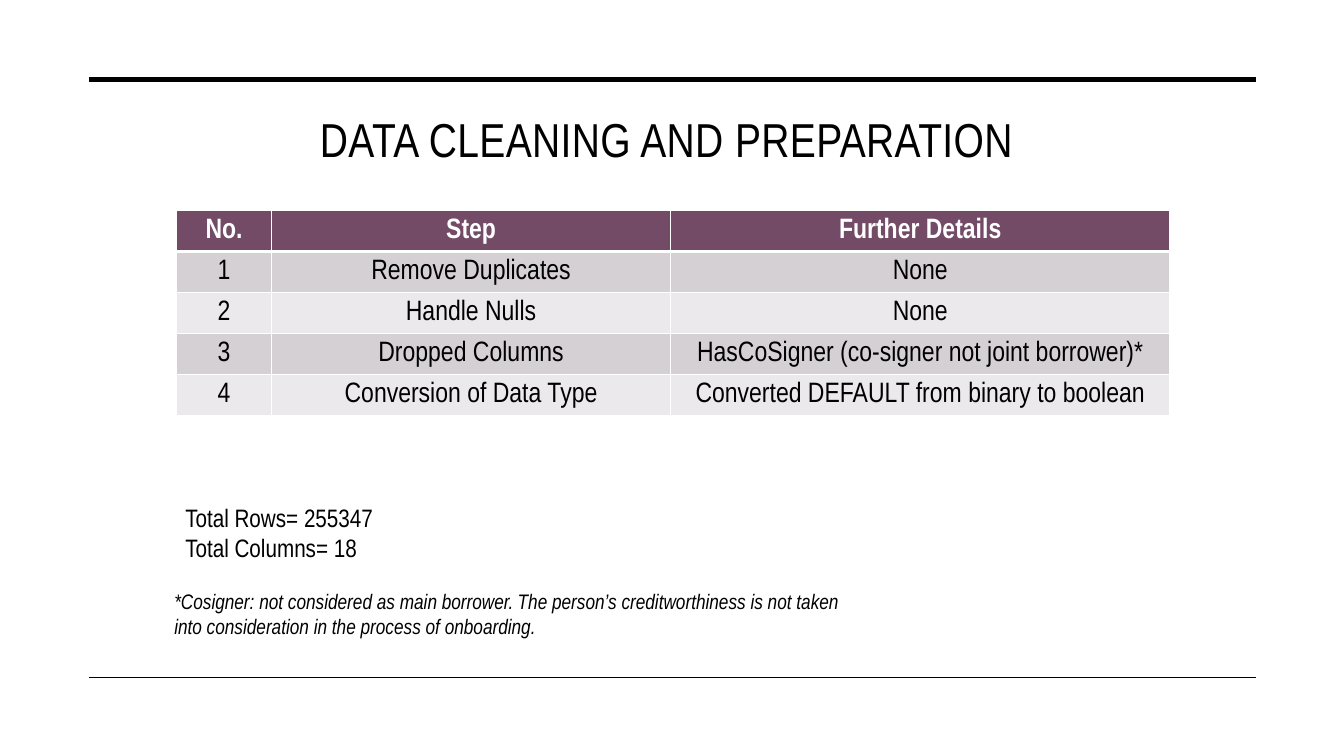
from lxml.etree import SubElement as Sub
from pptx import Presentation as Deck
from pptx.dml.color import RGBColor as Rgb
from pptx.enum.shapes import MSO_CONNECTOR as Link
from pptx.enum.text import MSO_ANCHOR as Anchor, PP_ALIGN as Align
from pptx.oxml.ns import qn
from pptx.util import Inches, Pt

WIDE, HIGH = Inches(13.33), Inches(7.5)
FONT = "Arial Narrow"
HUES = {"ink": "000000", "paper": "FFFFFF", "head": "734B67",
        "odd": "D5D0D3", "even": "EBE9EB"}
COLS = [7.05, 29.71, 37.13]
ROW = 5.42
STEPS = [
    ("No.", "Step", "Further Details"),
    ("1", "Remove Duplicates", "None"),
    ("2", "Handle Nulls", "None"),
    ("3", "Dropped Columns", "HasCoSigner (co-signer not joint borrower)*"),
    ("4", "Conversion of Data Type", "Converted DEFAULT from binary to boolean"),
]
NOTE = ("*Cosigner: not considered as main borrower. The person’s creditworthiness "
        "is not taken into consideration in the process of onboarding.")


def across(share):
    return round(WIDE * share / 100)


def down(share):
    return round(HIGH * share / 100)


def area(left, top, width, height):
    return across(left), down(top), across(width), down(height)


def hue(name):
    return Rgb.from_string(HUES[name])


def style(para, size, color="ink", bold=False, slant=False, align=Align.LEFT):
    para.alignment = align
    font = para.font
    font.name, font.size = FONT, Pt(size)
    font.bold, font.italic = bold, slant
    font.color.rgb = hue(color)


def rule(slide, top, weight):
    line = slide.shapes.add_connector(
        Link.STRAIGHT, across(6.6), down(top), across(93.47), down(top))
    line.line.color.rgb = hue("ink")
    line.line.width = Pt(weight)
    Sub(line._element.spPr, qn("a:effectLst"))


def label(slide, place, lines, size, anchor=Anchor.TOP, **look):
    frame = slide.shapes.add_textbox(*area(*place)).text_frame
    frame.word_wrap = True
    frame.vertical_anchor = anchor
    frame.text = "\n".join(lines)
    for para in frame.paragraphs:
        style(para, size, **look)
    return frame


def border(cell, side, weight):
    edge = Sub(cell._tc.get_or_add_tcPr(), qn("a:ln" + side), w=str(Pt(weight)))
    Sub(Sub(edge, qn("a:solidFill")), qn("a:srgbClr"), val=HUES["paper"])


def fill(cell, text, row):
    head = row == 0
    cell.text = text
    cell.vertical_anchor = Anchor.MIDDLE
    cell.margin_top = cell.margin_bottom = Inches(0.03)
    style(cell.text_frame.paragraphs[0], 20, "paper" if head else "ink",
          bold=head, align=Align.CENTER)
    for side in "LRTB":
        thick = (head and side == "B") or (row == 1 and side == "T")
        border(cell, side, 3 if thick else 1)
    cell.fill.solid()
    cell.fill.fore_color.rgb = hue("head" if head else "odd" if row % 2 else "even")


def grid(slide, left, top):
    place = area(left, top, sum(COLS), ROW * len(STEPS))
    table = slide.shapes.add_table(len(STEPS), len(COLS), *place).table
    for col, width in zip(table.columns, COLS):
        col.width = across(width)
    for row, texts in enumerate(STEPS):
        table.rows[row].height = down(ROW)
        for col, text in enumerate(texts):
            fill(table.cell(row, col), text, row)


def main():
    deck = Deck()
    deck.slide_width, deck.slide_height = WIDE, HIGH
    slide = deck.slides.add_slide(deck.slide_layouts[6])
    rule(slide, 10.53, 3.5)
    rule(slide, 89.6, 1)
    title = label(slide, (5.78, 13.33, 87.7, 9.87), ["DATA CLEANING AND PREPARATION"],
                  34, Anchor.MIDDLE, align=Align.CENTER)
    title.paragraphs[0].runs[0]._r.get_or_add_rPr().set("spc", "30")
    grid(slide, 13.15, 27.87)
    label(slide, (12.23, 77.2, 51.61, 8.13), [NOTE], 15, slant=True)
    label(slide, (13.05, 65.73, 16.35, 9.47),
          ["Total Rows= 255347", "Total Columns= 18"], 18)
    deck.save("out.pptx")


if __name__ == "__main__":
    main()
